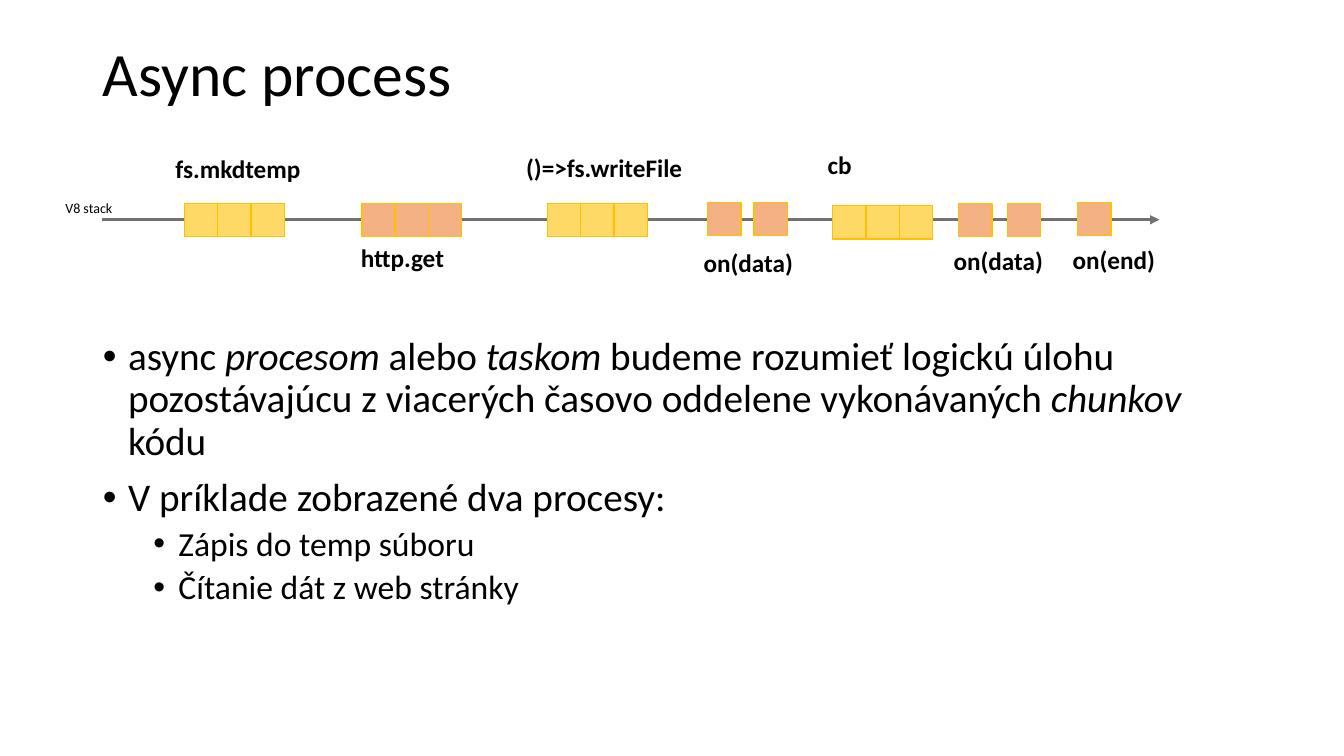
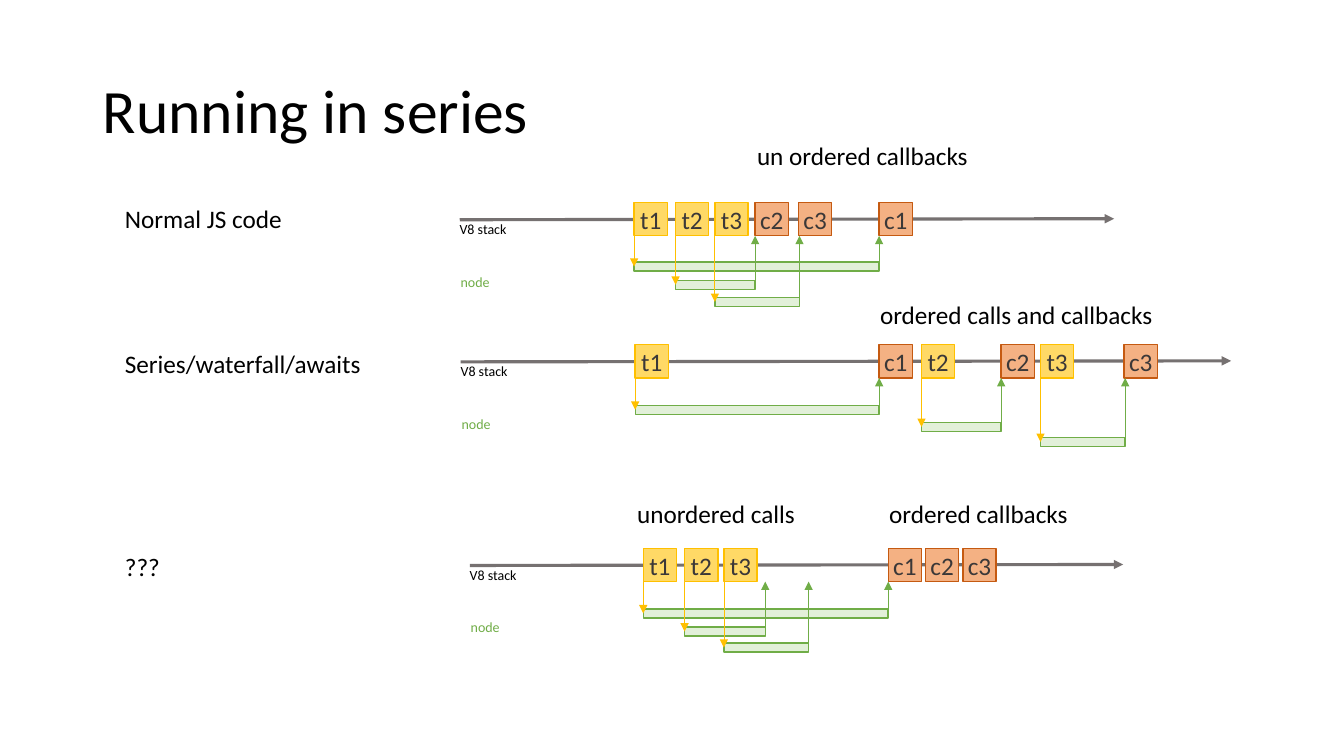
import pptx
import pptx.dml.color
import pptx.enum.shapes
import pptx.enum.text
import pptx.oxml.ns
import pptx.util
from lxml import etree

# Shared style; 100 px make one inch
PX = 9144
FONT = "Calibri"
COLORS = {
    "text": "000000", "axis": "767171", "square_text": "3B3838",
    "yellow": "FFD966", "yellow_line": "FFC000",
    "orange": "F4B183", "orange_line": "C55A11",
    "green": "E2F0D9", "green_line": "70AD47",
}
SLIDE_SIZE = (1333, 750)
TITLE_BOX = (92, 40, 1150, 145)
SQUARE = 33
BAR_HEIGHT = 9

# Slide 1: timeline and bullets
PROCESS_TITLE = "Async process"
PROCESS_AXIS = (101, 218, 1150, 218)
STACK_BOX = (55, 193, 68, 27)
CHUNKS = [  # left, top, number of squares, fill
    (183, 202, 3, "yellow"), (359, 202, 3, "orange"),
    (543, 202, 3, "yellow"), (702, 201, 1, "orange"),
    (748, 201, 1, "orange"), (826, 204, 3, "yellow"),
    (951, 202, 1, "orange"), (999, 202, 1, "orange"),
    (1069, 201, 1, "orange"),
]
CHUNK_LABELS = [
    ("fs.mkdtemp", (164, 147, 145, 64)),
    ("http.get", (348, 235, 104, 64)),
    ("()=>fs.writeFile", (512, 146, 176, 64)),
    ("on(data)", (688, 240, 110, 40)),
    ("cb", (811, 143, 44, 64)),
    ("on(data)", (936, 238, 110, 40)),
    ("on(end)", (1054, 237, 103, 40)),
]
BODY_BOX = (92, 329, 1098, 320)
BULLETS = [  # level, runs as (text, italic)
    (0, [("async ", False), ("procesom ", True), ("alebo ", False), ("taskom", True),
         (" budeme rozumieť logickú úlohu pozostávajúcu z viacerých časovo oddelene "
          "vykonávaných ", False), ("chunkov", True), (" kódu", False)]),
    (0, [("V príklade zobrazené dva procesy:", False)]),
    (1, [("Zápis do temp súboru", False)]),
    (1, [("Čítanie dát z web stránky", False)]),
]
BULLET_LEVELS = [  # indent, size, space before
    (25, 28, 10), (75, 24, 5),
]

# Slide 2: one timeline per way of running
SERIES_TITLE = "Running in series"
CALL_STARTS = (0, 16, -6)  # start of each call arrow, from the axis
TIMELINES = [  # tasks: call left, return x, callback left, bar top
    {"axis": (456, 218, 1105, 217),
     "tasks": [(629, 872, 872, 260), (670, 749, 749, 278), (709, 793, 792, 295)]},
    {"axis": (457, 359, 1221, 358),
     "tasks": [(630, 872, 872, 402), (914, 993, 993, 419), (1032, 1116, 1115, 434)]},
    {"axis": (466, 561, 1114, 560),
     "tasks": [(638, 881, 881, 604), (679, 759, 918, 622), (718, 802, 955, 638)]},
]
SERIES_LABELS = [
    ("Normal JS code", (114, 197, 178, 40)),
    ("Series/waterfall/awaits", (114, 341, 256, 40)),
    ("???", (114, 542, 55, 40)),
    ("un ordered callbacks", (741, 134, 232, 40)),
    ("ordered calls and callbacks", (863, 292, 294, 40)),
    ("unordered calls", (622, 489, 179, 40)),
    ("ordered callbacks", (872, 489, 199, 40)),
]


def emu(lengths):
    return [pptx.util.Emu(length * PX) for length in lengths]


def rgb(name):
    return pptx.dml.color.RGBColor.from_string(COLORS[name])


def format_runs(paragraph, size, color="text", bold=False):
    for run in paragraph.runs:
        run.font.name = FONT
        run.font.size = pptx.util.Pt(size)
        run.font.bold = bold
        run.font.color.rgb = rgb(color)


def place(shape, box):
    shape.left, shape.top, shape.width, shape.height = emu(box)


def add_title_slide(presentation, layout, title, bottom_inset=5):
    slide = presentation.slides.add_slide(presentation.slide_layouts[layout])
    shape = slide.shapes.title
    place(shape, TITLE_BOX)
    text_frame = shape.text_frame
    text_frame.text = title
    text_frame.auto_size = pptx.enum.text.MSO_AUTO_SIZE.NONE
    text_frame.vertical_anchor = pptx.enum.text.MSO_ANCHOR.MIDDLE
    text_frame.margin_bottom = pptx.util.Emu(bottom_inset * PX)
    paragraph = text_frame.paragraphs[0]
    paragraph.alignment = pptx.enum.text.PP_ALIGN.LEFT
    paragraph.line_spacing = 0.9
    format_runs(paragraph, 44)
    return slide


def add_label(slide, text, box, size=18, color="text", bold=False, wrap=False):
    text_frame = slide.shapes.add_textbox(*emu(box)).text_frame
    text_frame.word_wrap = wrap
    text_frame.text = text
    format_runs(text_frame.paragraphs[0], size, color, bold)


def add_box(slide, box, fill, line, text=""):
    shape = slide.shapes.add_shape(pptx.enum.shapes.MSO_SHAPE.RECTANGLE, *emu(box))
    shape.shadow.inherit = False
    shape.fill.solid()
    shape.fill.fore_color.rgb = rgb(fill)
    shape.line.color.rgb = rgb(line)
    shape.line.width = pptx.util.Pt(1)
    if text:
        text_frame = shape.text_frame
        text_frame.margin_left = text_frame.margin_right = 0
        text_frame.vertical_anchor = pptx.enum.text.MSO_ANCHOR.MIDDLE
        text_frame.text = text
        text_frame.paragraphs[0].alignment = pptx.enum.text.PP_ALIGN.CENTER
        format_runs(text_frame.paragraphs[0], 18, "square_text")
    return shape


def add_arrow(slide, ends, color, width):
    connector = slide.shapes.add_connector(
        pptx.enum.shapes.MSO_CONNECTOR.STRAIGHT, *emu(ends))
    connector.line.color.rgb = rgb(color)
    connector.line.width = pptx.util.Pt(width)
    qn = pptx.oxml.ns.qn
    properties = connector.element.spPr
    etree.SubElement(properties.find(qn("a:ln")), qn("a:tailEnd"), type="triangle")
    etree.SubElement(properties, qn("a:effectLst"))
    return connector


def fill_bullets(shape):
    place(shape, BODY_BOX)
    text_frame = shape.text_frame
    text_frame.auto_size = pptx.enum.text.MSO_AUTO_SIZE.NONE
    for index, (level, runs) in enumerate(BULLETS):
        paragraph = text_frame.paragraphs[0] if index == 0 else text_frame.add_paragraph()
        indent, size, space_before = BULLET_LEVELS[level]
        paragraph.level = level
        paragraph.line_spacing = 0.9
        paragraph.space_before = pptx.util.Pt(space_before if index else 0)
        properties = paragraph._p.get_or_add_pPr()
        properties.set("marL", str(indent * PX))
        properties.set("indent", str(-25 * PX))
        for tag, attribute, value in (("a:buFont", "typeface", "Arial"),
                                      ("a:buChar", "char", "•")):
            bullet = etree.SubElement(properties, pptx.oxml.ns.qn(tag))
            bullet.set(attribute, value)
        for text, italic in runs:
            run = paragraph.add_run()
            run.text = text
            run.font.italic = italic
        format_runs(paragraph, size)


def build_process_slide(presentation):
    slide = add_title_slide(presentation, 1, PROCESS_TITLE, bottom_inset=79)
    fill_bullets(slide.placeholders[1])
    add_arrow(slide, PROCESS_AXIS, "axis", 2.25)
    add_label(slide, "V8 stack", STACK_BOX, 10, wrap=True)
    for left, top, count, fill in CHUNKS:
        for index in range(count):
            add_box(slide, (left + index * SQUARE, top, SQUARE, SQUARE), fill, "yellow_line")
    for text, box in CHUNK_LABELS:
        add_label(slide, text, box, bold=True)


def add_timeline(slide, axis, tasks):
    left, middle = axis[:2]
    square_top, square_bottom = middle - 17, middle + 16
    add_arrow(slide, axis, "axis", 2.25)
    add_label(slide, "V8 stack", (left - 10, middle - 4, 68, 27), 10, wrap=True)
    add_label(slide, "node", (left - 9, middle + 48, 49, 27), 10, "green_line")
    for number, (task, start) in enumerate(zip(tasks, CALL_STARTS), 1):
        call, finish, callback, bar_top = task
        for name, x, fill in (("t", call, "yellow"), ("c", callback, "orange")):
            add_box(slide, (x, square_top, SQUARE, SQUARE), fill, fill + "_line",
                    f"{name}{number}")
        bar = add_box(slide, (call, bar_top, finish - call, BAR_HEIGHT),
                      "green", "green_line")
        call_arrow = add_arrow(slide, (call, middle + start, call, bar_top),
                               "yellow_line", 0.5)
        call_arrow.end_connect(bar, 1)
        return_arrow = add_arrow(slide, (finish, bar_top, finish, square_bottom),
                                 "green_line", 0.5)
        return_arrow.begin_connect(bar, 3)


def build_series_slide(presentation):
    slide = add_title_slide(presentation, 5, SERIES_TITLE)
    for timeline in TIMELINES:
        add_timeline(slide, timeline["axis"], timeline["tasks"])
    for text, box in SERIES_LABELS:
        add_label(slide, text, box)


def main():
    presentation = pptx.Presentation()
    presentation.slide_width, presentation.slide_height = emu(SLIDE_SIZE)
    build_process_slide(presentation)
    build_series_slide(presentation)
    presentation.save("out.pptx")


if __name__ == "__main__":
    main()
